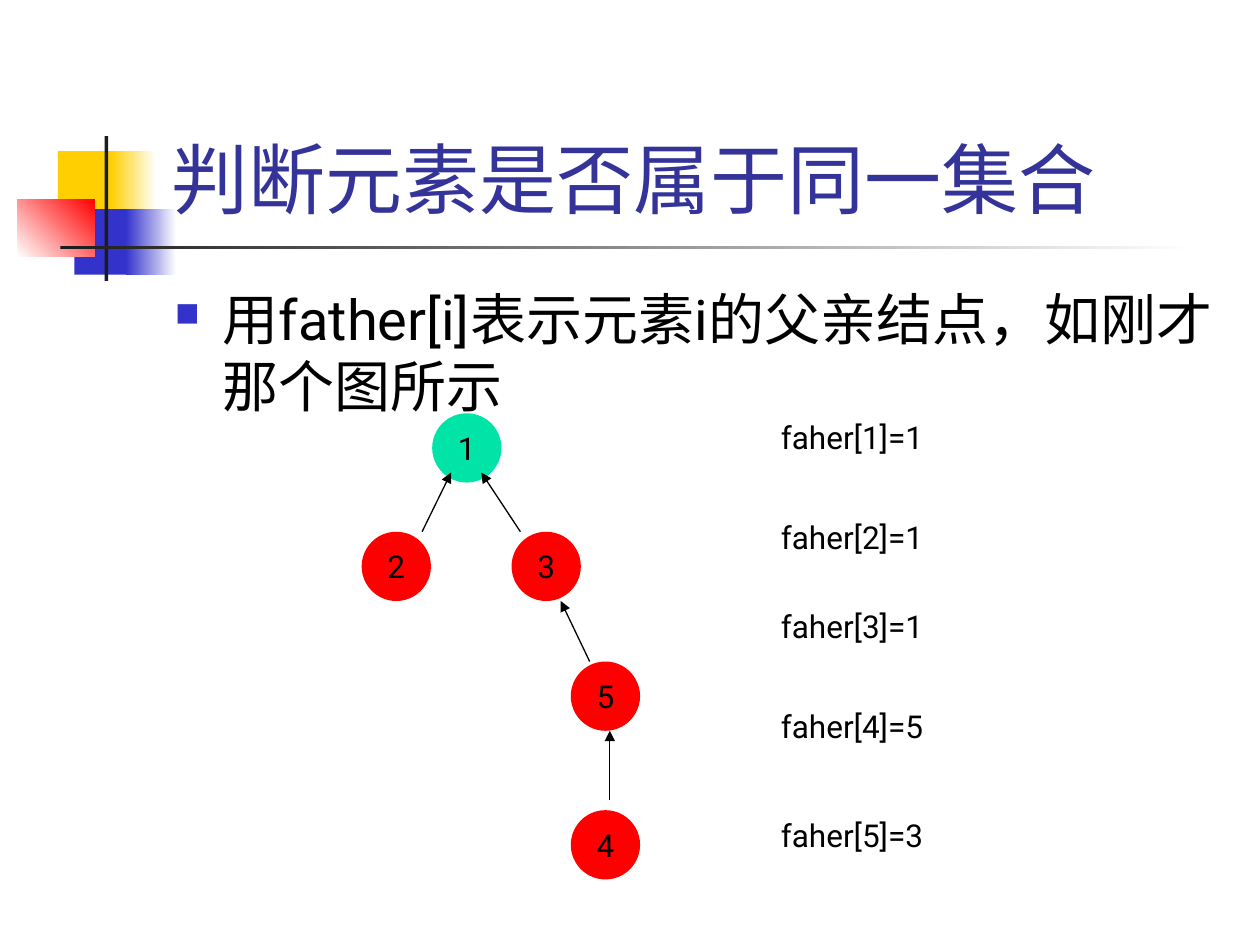
from dataclasses import dataclass
from lxml.etree import SubElement
from pptx import Presentation
from pptx.dml.color import RGBColor as RGB
from pptx.enum.shapes import MSO_CONNECTOR as Link, MSO_SHAPE as Shape
from pptx.enum.text import MSO_ANCHOR as Anchor, MSO_AUTO_SIZE as Fit, PP_ALIGN as Align
from pptx.oxml.ns import qn
from pptx.util import Inches, Pt


@dataclass(frozen=True)
class Theme:
    font: str = "Roboto"
    head: int = 44
    body: int = 32
    note: int = 18
    title: str = "333399"
    ink: str = "000000"
    white: str = "FFFFFF"
    gold: str = "FFCF01"
    blue: str = "3333CC"
    red: str = "FF0000"
    green: str = "00E4A8"
    dark: str = "1C1C1C"


T = Theme()


def color(code):
    return RGB.from_string(code)


def add_run(para, text, size, code=T.ink):
    run = para.add_run()
    run.text = text
    run.font.name = T.font
    run.font.size = Pt(size)
    run.font.color.rgb = color(code)


def add_form(slide, kind, box, start, end=None, angle=0):
    """Borderless shape, solid or fading from start to end."""
    form = slide.shapes.add_shape(kind, *map(Inches, box))
    form.shadow.inherit = False
    form.line.fill.background()
    if end is None:
        form.fill.solid()
        form.fill.fore_color.rgb = color(start)
    else:
        form.fill.gradient()
        form.fill.gradient_angle = angle
        for stop, code in zip(form.fill.gradient_stops, (start, end)):
            stop.color.rgb = color(code)
    return form


def add_text(slide, box):
    frame = slide.shapes.add_textbox(*map(Inches, box)).text_frame
    frame.word_wrap = True
    return frame.paragraphs[0]


def add_arrow(slide, start, end):
    line = slide.shapes.add_connector(Link.STRAIGHT, *map(Inches, start + end))
    line.line.color.rgb = color(T.ink)
    line.line.width = Pt(0.75)
    SubElement(line.line._get_or_add_ln(), qn("a:tailEnd"), type="triangle")
    SubElement(line._element.spPr, qn("a:effectLst"))


def add_decor(slide, left, top):
    """Coloured blocks crossed by a bar and a fading rule."""
    parts = [
        (0.32, 0.12, 0.48, 0.52, T.gold),
        (0.74, 0.12, 0.36, 0.52, T.gold, T.white),
        (0.45, 0.58, 0.46, 0.52, T.blue),
        (0.86, 0.58, 0.4, 0.52, T.blue, T.white),
        (0, 0.5, 0.61, 0.46, T.white, T.red, 45),
        (0.69, 0, 0.03, 1.15, T.dark),
        (0.34, 0.87, 9, 0.03, T.dark, T.white),
    ]
    for x, y, wide, high, *fill in parts:
        add_form(slide, Shape.RECTANGLE, (left + x, top + y, wide, high), *fill)


def add_title(slide, box, text):
    title = slide.shapes.title
    title.left, title.top, title.width, title.height = map(Inches, box)
    frame = title.text_frame
    frame.auto_size = Fit.NONE
    frame.vertical_anchor = Anchor.BOTTOM
    para = frame.paragraphs[0]
    para.alignment = Align.LEFT
    add_run(para, text, T.head, T.title)
    # Keep the title in front of the blocks
    title.element.getparent().append(title.element)


def add_point(slide, box, text):
    para = add_text(slide, box)
    props = para._p.get_or_add_pPr()
    props.set("marL", str(Inches(0.38)))
    props.set("indent", str(Inches(-0.38)))
    SubElement(SubElement(props, qn("a:buClr")), qn("a:srgbClr"), val=T.blue)
    SubElement(props, qn("a:buSzPct"), val="60000")
    SubElement(props, qn("a:buChar"), char="■")
    add_run(para, text, T.body)


def add_tree(slide, left, top):
    """Nodes by number, with arrows from child to father."""
    size = 0.55
    nodes = {1: (0.56, 0), 2: (0, 0.94), 3: (1.19, 0.94),
             5: (1.66, 1.97), 4: (1.66, 3.15)}
    arrows = [((0.48, 0.94), (0.71, 0.47)), ((1.26, 0.94), (0.95, 0.47)),
              ((1.81, 1.97), (1.58, 1.49)), ((1.97, 3.07), (1.97, 2.52))]
    for name, (x, y) in nodes.items():
        fill = T.green if name == 1 else T.red
        node = add_form(slide, Shape.OVAL, (left + x, top + y, size, size), fill)
        frame = node.text_frame
        frame.word_wrap = False
        frame.vertical_anchor = Anchor.MIDDLE
        para = frame.paragraphs[0]
        para.alignment = Align.CENTER
        add_run(para, str(name), T.note)
    for start, end in arrows:
        add_arrow(slide, *((left + x, top + y) for x, y in (start, end)))


def add_list(slide, left, top):
    """Father of each node, roughly level with the tree."""
    rows = [(0, 1), (0.79, 1), (1.5, 1), (2.29, 5), (3.16, 3)]
    for i, (y, father) in enumerate(rows, 1):
        para = add_text(slide, (left, top + y, 2.6, 0.4))
        add_run(para, f"faher[{i}]={father}", T.note)


def main():
    deck = Presentation()
    deck.slide_width, deck.slide_height = Inches(10), Inches(7.5)
    slide = deck.slides.add_slide(deck.slide_layouts[5])
    add_decor(slide, 0.14, 1.08)
    add_title(slide, (1.26, 0.23, 8.52, 1.6), "判断元素是否属于同一集合")
    add_point(slide, (1.29, 2.21, 8.5, 4.5),
              "用father[i]表示元素i的父亲结点，如刚才那个图所示")
    add_tree(slide, 2.87, 3.28)
    add_list(slide, 6.1, 3.27)
    deck.save("out.pptx")


if __name__ == "__main__":
    main()
